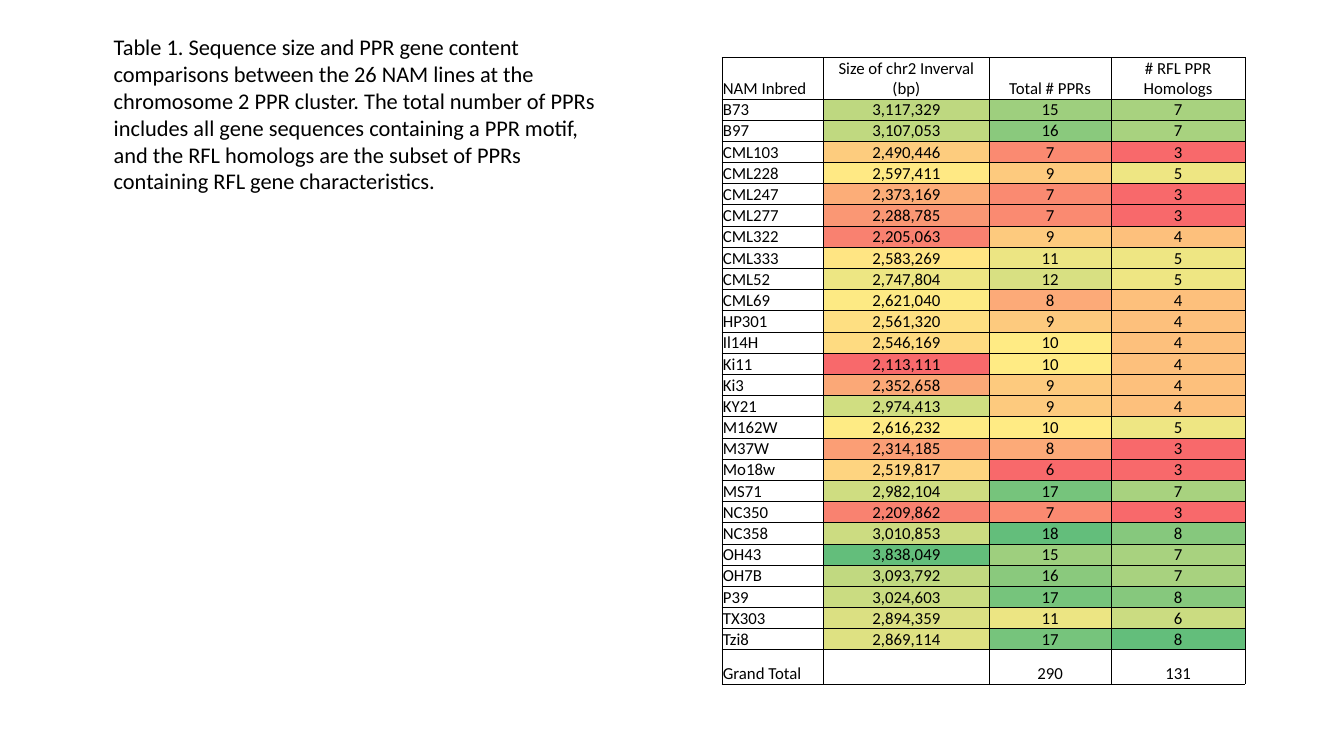
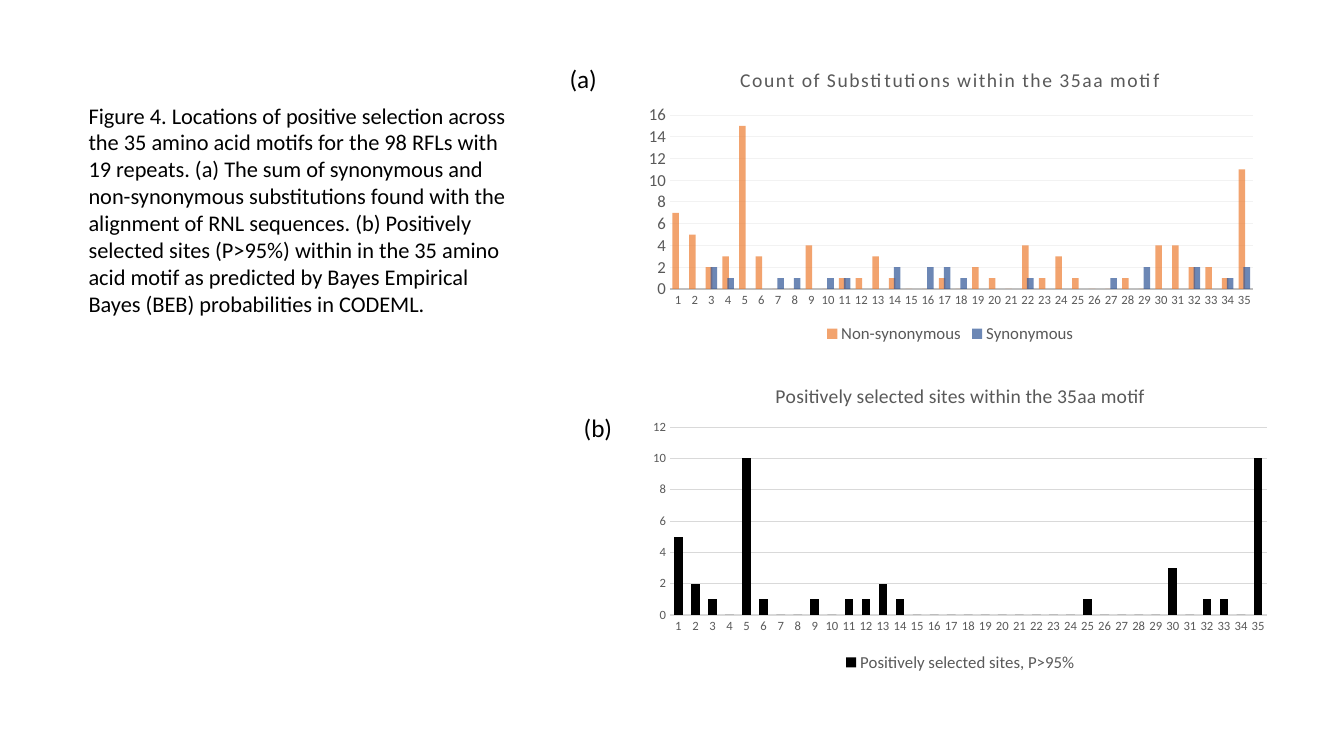
from lxml import etree
from pptx import Presentation
from pptx import util as u
from pptx.chart.data import CategoryChartData
from pptx.dml.color import RGBColor
from pptx.enum import chart as ch, text
from pptx.oxml import parse_xml
from pptx.oxml.ns import nsdecls, qn

FONT = "Calibri"
COLORS = {
    "ink": "000000", "gray": "595959", "grid": "D9D9D9", "pale": "F2F2F2",
    "axis": "BFBFBF", "orange": "ED7D31", "blue": "2F5597",
    "low": "F8696B", "mid": "FFEB84", "high": "63BE7B",
}

TABLE_CAPTION = (
    "Table 1. Sequence size and PPR gene content comparisons between the 26 NAM lines at the "
    "chromosome 2 PPR cluster. The total number of PPRs includes all gene sequences containing "
    "a PPR motif, and the RFL homologs are the subset of PPRs containing RFL gene characteristics."
)
FIGURE_CAPTION = (
    "Figure 4. Locations of positive selection across the 35 amino acid motifs for the 98 RFLs "
    "with 19 repeats. (a) The sum of synonymous and non-synonymous substitutions found with the "
    "alignment of RNL sequences. (b) Positively selected sites (P>95%) within in the 35 amino "
    "acid motif as predicted by Bayes Empirical Bayes (BEB) probabilities in CODEML."
)

HEADER = ("NAM Inbred", "Size of chr2 Inverval (bp)", "Total # PPRs", "# RFL PPR Homologs")
LINES = [
    ("B73", 3117329, 15, 7), ("B97", 3107053, 16, 7), ("CML103", 2490446, 7, 3),
    ("CML228", 2597411, 9, 5), ("CML247", 2373169, 7, 3), ("CML277", 2288785, 7, 3),
    ("CML322", 2205063, 9, 4), ("CML333", 2583269, 11, 5), ("CML52", 2747804, 12, 5),
    ("CML69", 2621040, 8, 4), ("HP301", 2561320, 9, 4), ("Il14H", 2546169, 10, 4),
    ("Ki11", 2113111, 10, 4), ("Ki3", 2352658, 9, 4), ("KY21", 2974413, 9, 4),
    ("M162W", 2616232, 10, 5), ("M37W", 2314185, 8, 3), ("Mo18w", 2519817, 6, 3),
    ("MS71", 2982104, 17, 7), ("NC350", 2209862, 7, 3), ("NC358", 3010853, 18, 8),
    ("OH43", 3838049, 15, 7), ("OH7B", 3093792, 16, 7), ("P39", 3024603, 17, 8),
    ("TX303", 2894359, 11, 6), ("Tzi8", 2869114, 17, 8),
]
TOTAL = ("Grand Total", "", "290", "131")
SCALE_STOPS = {1: (2113111, 2606822, 3838049), 2: (6, 10, 18), 3: (3, 4.5, 9)}
FIXED_FILLS = {("Tzi8", 3): COLORS["high"]}

TABLE_BOX = (7.16, 0.57, 5.2, 6.14)
COL_WIDTHS = (1.01, 1.64, 1.21, 1.33)
HEADER_H, TOTAL_H = 0.4, 0.34

_ = None
CHARTS = [
    dict(
        title="Positively selected sites within the 35aa motif", spacing=0,
        box=(6.36, 3.64, 6.33, 3.07), plot=(0.045, 0.195, 0.935, 0.607),
        gap=95, overlap=-26, value_size=9, top=12, grid="grid", axis=("grid", 0.75),
        series=[("Positively selected sites, P>95%", "ink", 100,
                 [5, 2, 1, 0, 10, 1, 0, 0, 1, 0, 1, 1, 2, 1, 0, 0, 0, 0, 0, 0, 0, 0, 0, 0,
                  1, 0, 0, 0, 0, 3, 0, 1, 1, 0, 10])],
    ),
    dict(
        title="Count of Substitutions within the 35aa motif", spacing=100,
        box=(6.3, 0.51, 6.25, 2.94), plot=(0.055, 0.215, 0.925, 0.587),
        gap=80, overlap=25, value_size=12, top=16, grid="pale", axis=("axis", 1.25),
        series=[("Non-synonymous", "orange", 70,
                 [7, 5, 2, 3, 15, 3, 0, 0, 4, 0, 1, 1, 3, 1, 0, 0, 1, 0, 2, 1, 0, 4, 1, 3,
                  1, 0, 0, 1, 0, 4, 4, 2, 2, 1, 11]),
                ("Synonymous", "blue", 70,
                 [_, _, 2, 1, _, _, 1, 1, _, 1, 1, _, _, 2, _, 2, 2, 1, _, _, _, 1, _, _,
                  _, _, 1, _, 2, _, _, 2, _, 1, 2])],
    ),
]
PANEL_LABELS = [("(a)", (5.55, 0.58, 0.51, 0.4)), ("(b)", (5.69, 4.04, 0.51, 0.4))]


def rgb(name):
    return RGBColor.from_string(COLORS[name])


def inches(box):
    return [u.Inches(v) for v in box]


def style(font, size, color="ink"):
    font.name, font.size, font.bold = FONT, u.Pt(size), False
    font.color.rgb = rgb(color)


def add_run(p, words, size, color="ink"):
    r = p.add_run()
    r.text = words
    style(r.font, size, color)
    return r


def add_text(s, words, box, size):
    tf = s.shapes.add_textbox(*inches(box)).text_frame
    tf.word_wrap = True
    add_run(tf.paragraphs[0], words, size)


def scale_color(value, stops):
    low, mid, high = stops
    if value <= mid:
        start, end, share = "low", "mid", (value - low) / (mid - low)
    else:
        start, end, share = "mid", "high", (value - mid) / (high - mid)
    return "".join(f"{round(a + (b - a) * share):02X}" for a, b in zip(rgb(start), rgb(end)))


def add_borders(cell):
    tc_pr = cell._tc.get_or_add_tcPr()
    for i, side in enumerate(("lnL", "lnR", "lnT", "lnB")):
        tc_pr.insert(i, parse_xml(
            f'<a:{side} {nsdecls("a")} w="6350"><a:solidFill>'
            f'<a:srgbClr val="{COLORS["ink"]}"/></a:solidFill></a:{side}>'))


def fill_cell(cell, words, centred, fill):
    cell.margin_left = cell.margin_top = cell.margin_right = u.Inches(0.01)
    cell.margin_bottom = 0
    cell.vertical_anchor = text.MSO_ANCHOR.BOTTOM
    if fill:
        cell.fill.solid()
        cell.fill.fore_color.rgb = RGBColor.from_string(fill)
    else:
        cell.fill.background()
    add_borders(cell)
    p = cell.text_frame.paragraphs[0]
    if centred:
        p.alignment = text.PP_ALIGN.CENTER
    if words:
        add_run(p, words, 12)


def add_heat_table(s):
    rows = [HEADER, *LINES, TOTAL]
    table = s.shapes.add_table(len(rows), len(HEADER), *inches(TABLE_BOX)).table
    table.first_row = table.horz_banding = False
    for col, width in zip(table.columns, COL_WIDTHS):
        col.width = u.Inches(width)
    line_h = (TABLE_BOX[3] - HEADER_H - TOTAL_H) / len(LINES)
    heights = [HEADER_H] + [line_h] * len(LINES) + [TOTAL_H]
    for i, (row, height) in enumerate(zip(rows, heights)):
        table.rows[i].height = u.Inches(height)
        for j, value in enumerate(row):
            fill = None
            if isinstance(value, int):
                fill = FIXED_FILLS.get((row[0], j)) or scale_color(value, SCALE_STOPS[j])
                value = f"{value:,}"
            fill_cell(table.cell(i, j), value, j > 0, fill)


def place_plot(chart, plot):
    area = chart._chartSpace.chart.plotArea
    for old in area.findall(qn("c:layout")):
        area.remove(old)
    parts = "".join(f'<c:{k} val="{v}"/>' for k, v in zip("xywh", plot))
    area.insert(0, parse_xml(
        f'<c:layout {nsdecls("c")}><c:manualLayout><c:layoutTarget val="inner"/>'
        f'<c:xMode val="edge"/><c:yMode val="edge"/>{parts}</c:manualLayout></c:layout>'
        .replace("<c:x val", "<c:x val").replace("<c:w val", "<c:w val")))


def add_columns(s, spec):
    data = CategoryChartData()
    data.categories = [str(n) for n in range(1, 36)]
    for name, color, alpha, values in spec["series"]:
        data.add_series(name, values)
    chart = s.shapes.add_chart(
        ch.XL_CHART_TYPE.COLUMN_CLUSTERED, *inches(spec["box"]), data).chart
    style(chart.font, 10)

    chart.has_title = True
    r = add_run(chart.chart_title.text_frame.paragraphs[0], spec["title"], 14, "gray")
    r.font._element.set("spc", str(spec["spacing"]))
    chart.chart_title.include_in_layout = False
    chart.has_legend = True
    chart.legend.position = ch.XL_LEGEND_POSITION.BOTTOM
    chart.legend.include_in_layout = False
    style(chart.legend.font, 12, "gray")

    cat, val = chart.category_axis, chart.value_axis
    for axis, size in ((cat, 9), (val, spec["value_size"])):
        axis.major_tick_mark = axis.minor_tick_mark = ch.XL_TICK_MARK.NONE
        style(axis.tick_labels.font, size, "gray")
    axis_color, axis_width = spec["axis"]
    cat.format.line.color.rgb = rgb(axis_color)
    cat.format.line.width = u.Pt(axis_width)
    val.format.line.fill.background()
    val.minimum_scale, val.maximum_scale, val.major_unit = 0, spec["top"], 2
    val.major_gridlines.format.line.color.rgb = rgb(spec["grid"])
    val.major_gridlines.format.line.width = u.Pt(0.75)

    plot = chart.plots[0]
    plot.gap_width, plot.overlap = spec["gap"], spec["overlap"]
    plot.vary_by_categories = False
    for series, (name, color, alpha, values) in zip(plot.series, spec["series"]):
        series.invert_if_negative = False
        series.format.fill.solid()
        series.format.fill.fore_color.rgb = rgb(color)
        if alpha < 100:
            clr = series._element.find(".//" + qn("a:srgbClr"))
            etree.SubElement(clr, qn("a:alpha")).set("val", str(alpha * 1000))
    place_plot(chart, spec["plot"])


def main():
    prs = Presentation()
    prs.slide_width, prs.slide_height = u.Inches(13.33), u.Inches(7.5)
    blank = prs.slide_layouts[6]

    s = prs.slides.add_slide(blank)
    add_text(s, TABLE_CAPTION, (1.03, 0.28, 5, 1.72), 16)
    add_heat_table(s)

    s = prs.slides.add_slide(blank)
    for spec in CHARTS:
        add_columns(s, spec)
    add_text(s, FIGURE_CAPTION, (0.78, 0.96, 4.37, 2.52), 16)
    for label, box in PANEL_LABELS:
        add_text(s, label, box, 18)

    prs.save("out.pptx")


if __name__ == "__main__":
    main()
